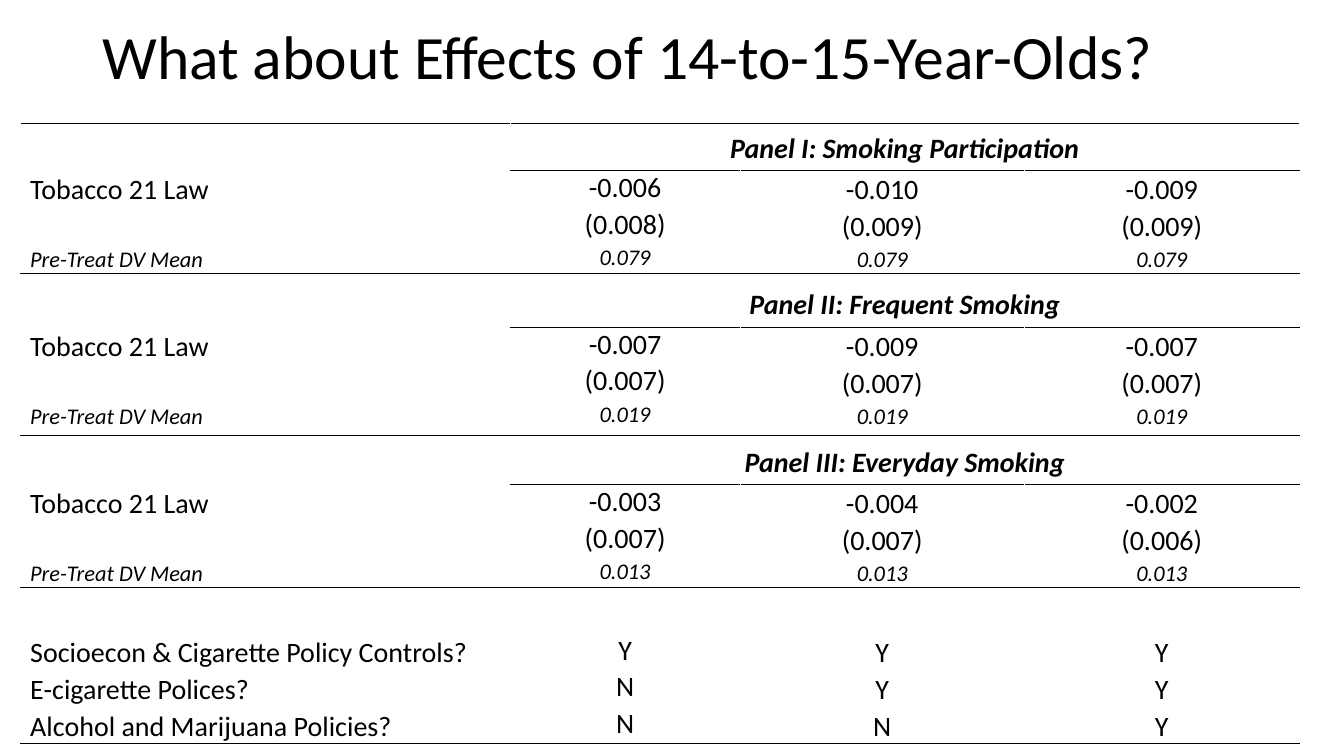
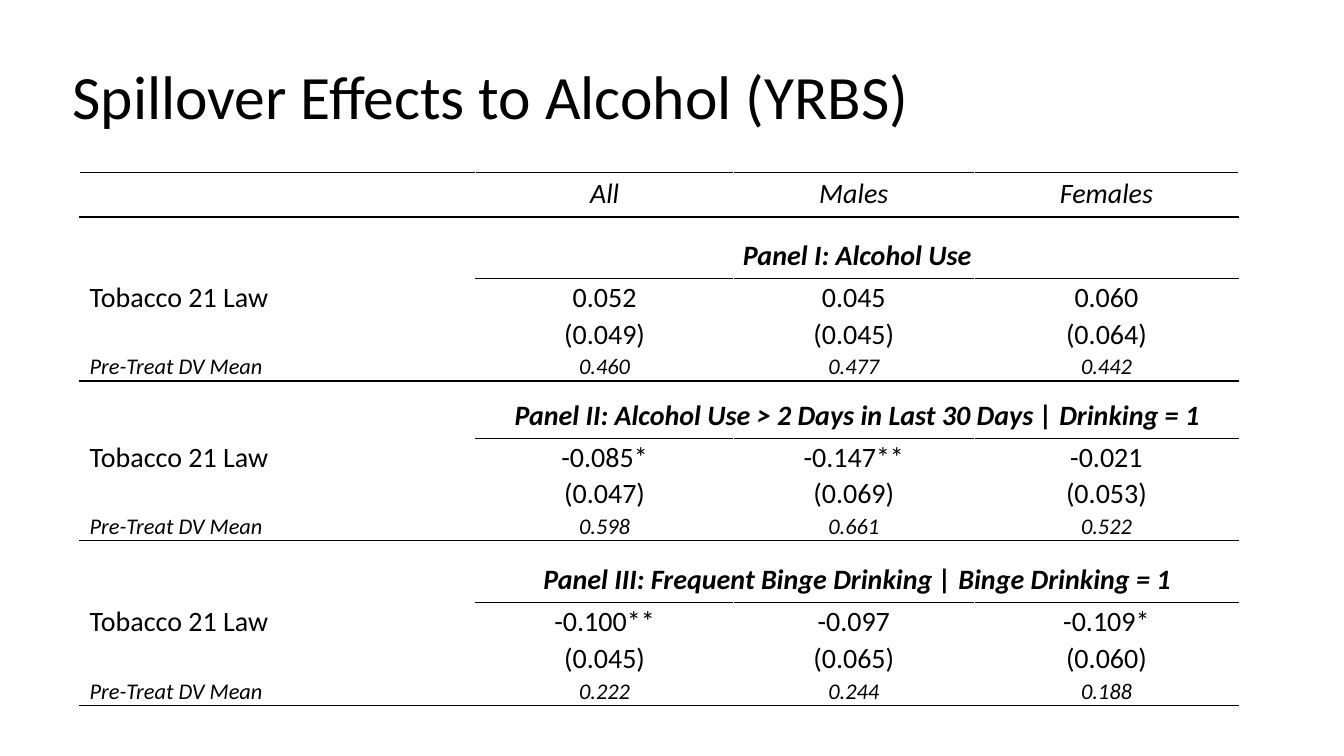
"""Build two slides of regression results by panel."""
from lxml.etree import SubElement
from pptx import Presentation
from pptx.dml.color import RGBColor
from pptx.enum.text import MSO_ANCHOR as ANCHOR, MSO_AUTO_SIZE as FIT, PP_ALIGN as ALIGN
from pptx.oxml.ns import qn
from pptx.util import Pt

COLORS = {"ink": "000000", "paper": "FFFFFF"}
FONT = "Calibri"
LAW, MEAN = "Tobacco 21 Law", "Pre-Treat DV Mean"
LINE_HEIGHT, MEAN_HEIGHT = 26.1, 20.9

ROW_STYLES = {
    "header": {"size": Pt(20), "bold": False, "italic": True},
    "panel": {"size": Pt(20), "bold": True, "italic": True},
    "estimate": {"size": Pt(20), "bold": False, "italic": False},
    "mean": {"size": Pt(16), "bold": False, "italic": True},
}

SLIDES = [
    {
        "title": "What about Effects of 14-to-15-Year-Olds?",
        "title_box": (66, 8.6, 828, 67.7),
        "origin": (14.4, 88),
        "columns": [350, 164.3, 203, 196.4],
        "single_spaced": 1,
        "header": None,
        "panels": [
            {"name": "Panel I: Smoking Participation", "height": 34,
             "effects": ["-0.006", "-0.010", "-0.009"],
             "errors": ["(0.008)", "(0.009)", "(0.009)"],
             "means": ["0.079"] * 3},
            {"name": "Panel II: Frequent Smoking", "height": 38.5,
             "effects": ["-0.007", "-0.009", "-0.007"],
             "errors": ["(0.007)"] * 3,
             "means": ["0.019"] * 3, "mean_height": 24.5},
            {"name": "Panel III: Everyday Smoking", "height": 35.4,
             "effects": ["-0.003", "-0.004", "-0.002"],
             "errors": ["(0.007)", "(0.007)", "(0.006)"],
             "means": ["0.013"] * 3},
        ],
        "controls": [
            ["Socioecon & Cigarette Policy Controls?", "Y", "Y", "Y"],
            ["E-cigarette Polices?", "N", "Y", "Y"],
            ["Alcohol and Marijuana Policies?", "N", "N", "Y"],
        ],
    },
    {
        "title": "Spillover Effects to Alcohol (YRBS)",
        "title_box": (44.6, 18.7, 828, 104.4),
        "origin": (56.9, 123),
        "columns": [283, 184, 172, 189],
        "single_spaced": None,
        "header": ["", "All", "Males", "Females"],
        "panels": [
            {"name": "Panel I: Alcohol Use", "height": 43.8,
             "effects": ["0.052", "0.045", "0.060"],
             "errors": ["(0.049)", "(0.045)", "(0.064)"],
             "means": ["0.460", "0.477", "0.442"]},
            {"name": "Panel II: Alcohol Use > 2 Days in Last 30 Days | Drinking = 1",
             "height": 40.8,
             "effects": ["-0.085*", "-0.147**", "-0.021"],
             "errors": ["(0.047)", "(0.069)", "(0.053)"],
             "means": ["0.598", "0.661", "0.522"]},
            {"name": "Panel III: Frequent Binge Drinking | Binge Drinking = 1",
             "height": 44,
             "effects": ["-0.100**", "-0.097", "-0.109*"],
             "errors": ["(0.045)", "(0.065)", "(0.060)"],
             "means": ["0.222", "0.244", "0.188"]},
        ],
        "controls": [],
    },
]


def set_format(target, values):
    for name, value in values.items():
        setattr(target, name, value)


def table_rows(content):
    """List the rows as (style, texts, height)."""
    rows = []
    if content["header"]:
        rows.append(("header", content["header"], 32))
    for panel in content["panels"]:
        rows += [
            ("panel", ["", panel["name"], "", ""], panel["height"]),
            ("estimate", [LAW, *panel["effects"]], LINE_HEIGHT),
            ("estimate", ["", *panel["errors"]], LINE_HEIGHT),
            ("mean", [MEAN, *panel["means"]], panel.get("mean_height", MEAN_HEIGHT)),
        ]
    if content["controls"]:
        rows.append(("estimate", [""] * 4, 33))
        rows += [("estimate", texts, LINE_HEIGHT) for texts in content["controls"]]
    return rows


def has_rule(rows, row, column):
    """Tell whether a black rule runs below a cell; row -1 is the table's top."""
    if row in (-1, len(rows) - 1):
        return True
    style = rows[row][0]
    return style in ("header", "mean") or (style == "panel" and column > 0)


def set_borders(cell, rule_above, rule_below):
    cell_properties = cell._tc.get_or_add_tcPr()
    edges = {"a:lnL": False, "a:lnR": False, "a:lnT": rule_above, "a:lnB": rule_below}
    for position, (tag, ruled) in enumerate(edges.items()):
        edge = SubElement(cell_properties, qn(tag), w=str(Pt(1)))
        fill = SubElement(edge, qn("a:solidFill"))
        SubElement(fill, qn("a:srgbClr"), val=COLORS["ink" if ruled else "paper"])
        cell_properties.insert(position, edge)


def write_cell(cell, text, style, column, spacing):
    padded = Pt(3.6 if style in ("header", "panel") else 0)
    set_format(cell, {
        "margin_left": Pt(7.2), "margin_right": Pt(7.2),
        "margin_top": padded, "margin_bottom": padded,
        "vertical_anchor": ANCHOR.BOTTOM if style == "panel" else ANCHOR.TOP,
    })
    cell.fill.solid()
    cell.fill.fore_color.rgb = RGBColor.from_string(COLORS["paper"])
    if text:
        paragraph = cell.text_frame.paragraphs[0]
        set_format(paragraph, {"alignment": ALIGN.CENTER if column else ALIGN.LEFT,
                               "line_spacing": spacing})
        run = paragraph.add_run()
        run.text = text
        set_format(run.font, {"name": FONT, **ROW_STYLES[style]})
        run.font.color.rgb = RGBColor.from_string(COLORS["ink"])


def add_title(slide, content):
    title = slide.shapes.title
    box = map(Pt, content["title_box"])
    set_format(title, dict(zip(("left", "top", "width", "height"), box)))
    frame = title.text_frame
    frame.text = content["title"]
    set_format(frame, {"vertical_anchor": ANCHOR.MIDDLE, "word_wrap": True,
                       "auto_size": FIT.NONE})
    paragraph = frame.paragraphs[0]
    set_format(paragraph, {"alignment": ALIGN.LEFT, "line_spacing": 0.9})
    set_format(paragraph.runs[0].font, {"name": FONT, "size": Pt(44)})
    paragraph.runs[0].font.color.rgb = RGBColor.from_string(COLORS["ink"])


def add_results(slide, content):
    rows, widths = table_rows(content), content["columns"]
    left, top = content["origin"]
    height = sum(row[2] for row in rows)
    results = slide.shapes.add_table(len(rows), len(widths), Pt(left), Pt(top),
                                     Pt(sum(widths)), Pt(height)).table
    set_format(results, {"first_row": False, "horz_banding": False})
    for column, width in enumerate(widths):
        results.columns[column].width = Pt(width)
    for row, (style, texts, row_height) in enumerate(rows):
        results.rows[row].height = Pt(row_height)
        for column, text in enumerate(texts):
            cell = results.cell(row, column)
            single = style in ("header", "panel") or column == content["single_spaced"]
            write_cell(cell, text, style, column, 1.0 if single else 1.07)
            set_borders(cell, has_rule(rows, row - 1, column), has_rule(rows, row, column))
        if style == "panel":
            results.cell(row, 1).merge(results.cell(row, len(widths) - 1))


def main():
    deck = Presentation()
    set_format(deck, {"slide_width": Pt(960), "slide_height": Pt(540)})
    for content in SLIDES:
        slide = deck.slides.add_slide(deck.slide_layouts[5])
        add_title(slide, content)
        add_results(slide, content)
    deck.save("out.pptx")


if __name__ == "__main__":
    main()
